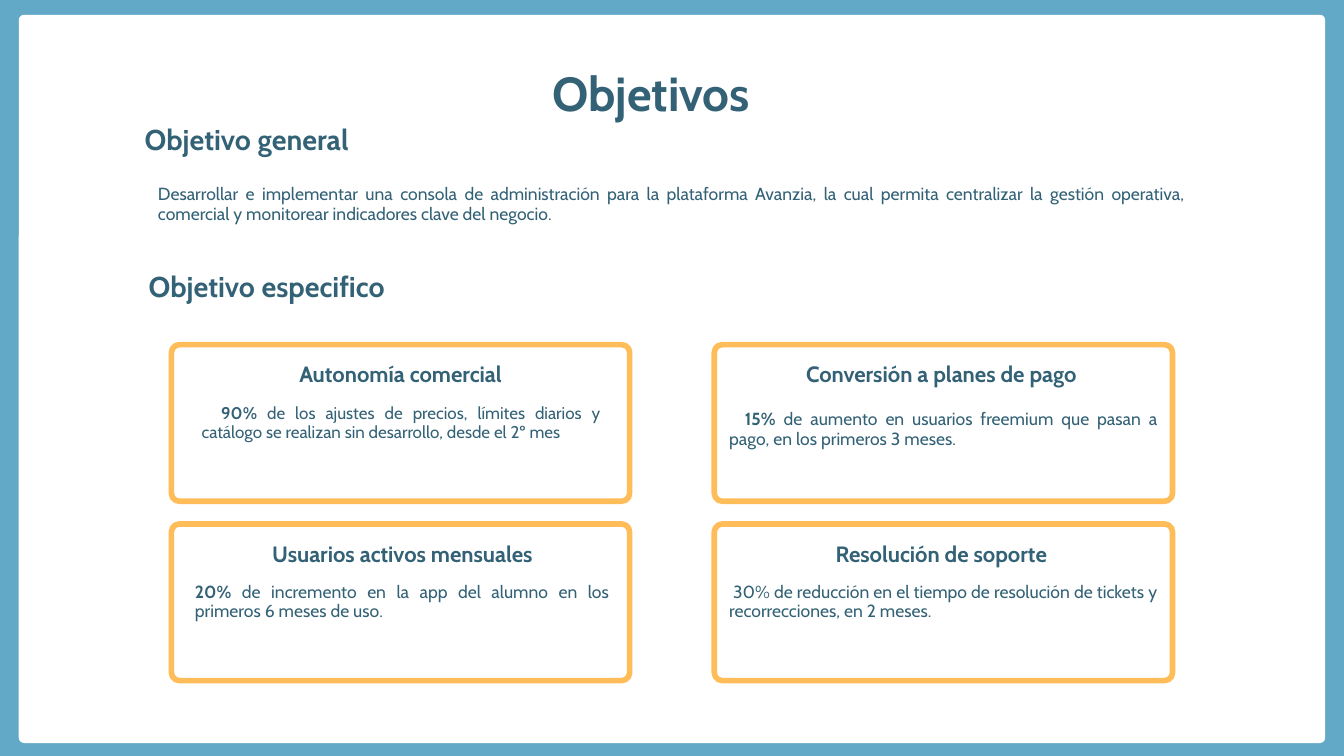
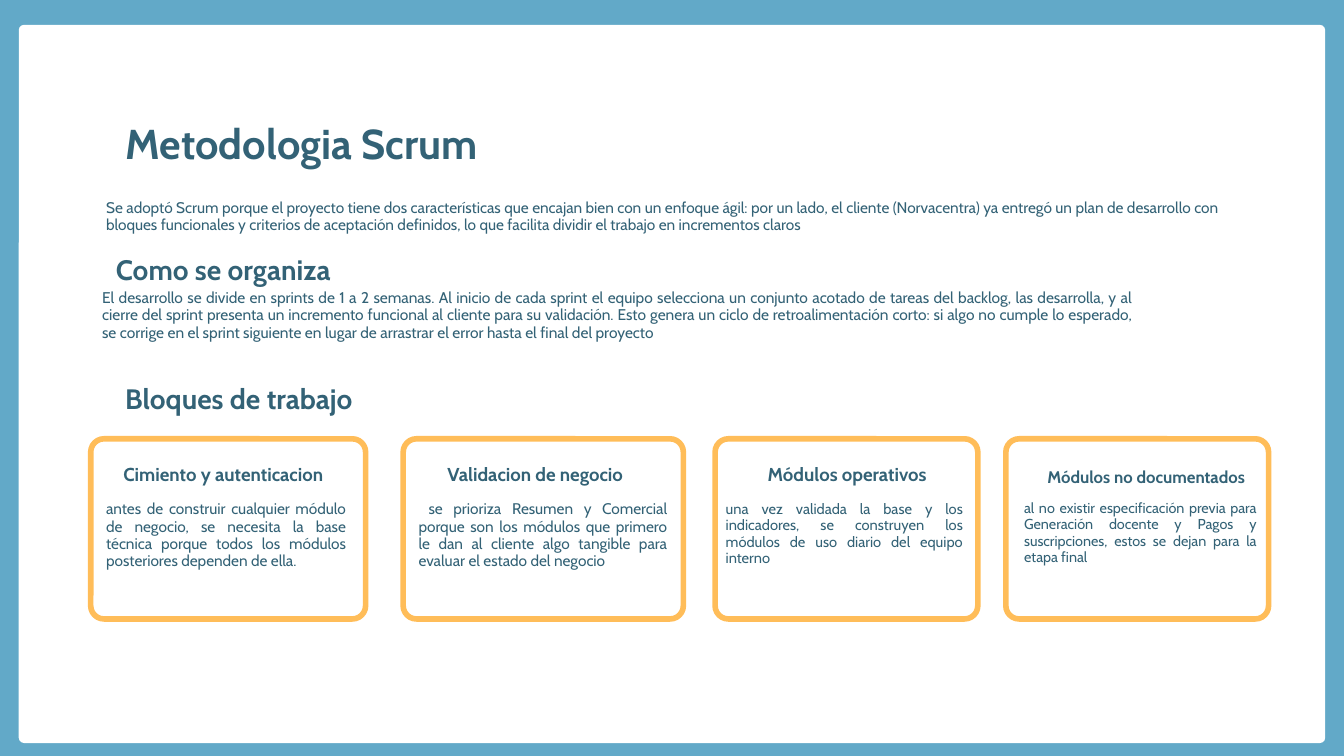
from pptx import Presentation
from pptx.dml.color import RGBColor
from pptx.enum.shapes import MSO_SHAPE
from pptx.enum.text import PP_ALIGN
from pptx.util import Cm, Pt

FRAME_BLUE = "62A9C8"
TEXT_BLUE = "336276"
CARD_YELLOW = "FFBD59"
WHITE = "FFFFFF"
FONT = "Cabin"


def add_panel(slide, left, top, width, height, radius, outline=None):
    shape = slide.shapes.add_shape(
        MSO_SHAPE.ROUNDED_RECTANGLE, Cm(left), Cm(top), Cm(width), Cm(height))
    shape.adjustments[0] = radius / min(width, height)
    shape.shadow.inherit = False
    shape.fill.solid()
    shape.fill.fore_color.rgb = RGBColor.from_string(WHITE)
    if outline:
        shape.line.color.rgb = RGBColor.from_string(outline)
        shape.line.width = Pt(6)
    else:
        shape.line.fill.background()


def add_text(slide, left, top, width, height, text, size, heading=False, lead="", indent=0):
    box = slide.shapes.add_textbox(Cm(left), Cm(top), Cm(width), Cm(height))
    frame = box.text_frame
    frame.word_wrap = True
    frame.margin_left = frame.margin_right = frame.margin_top = frame.margin_bottom = 0
    paragraph = frame.paragraphs[0]
    paragraph.alignment = PP_ALIGN.CENTER if heading else PP_ALIGN.JUSTIFY
    paragraph.line_spacing = Pt(round(size * (0.94 if heading else 1.13), 1))
    if indent:
        paragraph._p.get_or_add_pPr().set("indent", str(Cm(indent)))
    for content, bold in ((lead, True), (text, heading)):
        if content:
            run = paragraph.add_run()
            run.text = content
            run.font.name = FONT
            run.font.size = Pt(size)
            run.font.bold = bold
            run.font.color.rgb = RGBColor.from_string(TEXT_BLUE)


presentation = Presentation()
presentation.slide_width = Cm(50.8)
presentation.slide_height = Cm(28.58)

slides = []
for panel_top, panel_height in ((0.56, 27.53), (0.94, 27.15)):
    slide = presentation.slides.add_slide(presentation.slide_layouts[6])
    slide.background.fill.solid()
    slide.background.fill.fore_color.rgb = RGBColor.from_string(FRAME_BLUE)
    add_panel(slide, 0.71, panel_top, 49.38, panel_height, 0.2)
    slides.append(slide)
objectives, methodology = slides

add_text(objectives, 10.19, 2.87, 28.85, 1.83, "Objetivos", 51.2, heading=True)
add_text(objectives, 4.45, 4.9, 9.75, 1.09, "Objetivo general", 30.7, heading=True)
add_text(objectives, 5.97, 6.96, 38.86, 2.26,
         "Desarrollar e implementar una consola de administración para la plataforma Avanzia, "
         "la cual permita centralizar la gestión operativa, comercial y monitorear indicadores "
         "clave del negocio.", 18.8)
add_text(objectives, 4.8, 10.44, 10.57, 1.09, "Objetivo especifico", 30.7, heading=True)

goals = [
    ("Autonomía comercial", 6.48, "90%",
     " de los ajustes de precios, límites diarios y catálogo se realizan sin desarrollo, "
     "desde el 2º mes", 18.2, (7.62, 15.27, 15.09), 0.74),
    ("Conversión a planes de pago", 26.92, "15%",
     " de aumento en usuarios freemium que pasan a pago, en los primeros 3 meses.",
     18.8, (27.56, 15.47, 16.21), 0.6),
    ("Usuarios activos mensuales", 6.55, "20%",
     " de incremento en la app del alumno en los primeros 6 meses de uso.",
     18.8, (7.37, 22, 15.67), 0),
    ("Resolución de soporte", 26.92, "",
     "30% de reducción en el tiempo de resolución de tickets y recorrecciones, en 2 meses.",
     18.8, (27.56, 22, 16.21), 0.15),
]
for index, (title, title_left, lead, body, size, place, indent) in enumerate(goals):
    row, column = divmod(index, 2)
    card_top = 13.03 + row * 6.78
    add_panel(objectives, 6.48 + column * 20.52, card_top, 17.32, 5.92, 0.3, CARD_YELLOW)
    add_text(objectives, title_left, card_top + 0.83, 17.32, 1.6, title, 23.7, heading=True)
    add_text(objectives, *place, 2.24, body, size, lead=lead, indent=indent)

add_text(methodology, -1.19, 4.88, 25.2, 1.6, "Metodologia Scrum", 44.7, heading=True)
add_text(methodology, 4.01, 7.52, 42.06, 1.3,
         "Se adoptó Scrum porque el proyecto tiene dos características que encajan bien con un "
         "enfoque ágil: por un lado, el cliente (Norvacentra) ya entregó un plan de desarrollo "
         "con bloques funcionales y criterios de aceptación definidos, lo que facilita dividir "
         "el trabajo en incrementos claros", 16.5)
add_text(methodology, 2.84, 9.83, 11.2, 1.04, "Como se organiza", 30.1, heading=True)
add_text(methodology, 3.86, 10.92, 38.91, 2.57,
         "El desarrollo se divide en sprints de 1 a 2 semanas. Al inicio de cada sprint el equipo "
         "selecciona un conjunto acotado de tareas del backlog, las desarrolla, y al cierre del "
         "sprint presenta un incremento funcional al cliente para su validación. Esto genera un "
         "ciclo de retroalimentación corto: si algo no cumple lo esperado, se corrige en el "
         "sprint siguiente en lugar de arrastrar el error hasta el final del proyecto", 16.6)
add_text(methodology, 3.43, 14.71, 11.2, 1.04, "Bloques de trabajo", 30.1, heading=True)

blocks = [
    ("Cimiento y autenticacion", 20, (2.84, 17.68, 11.2), 3.43, 10.39,
     "antes de construir cualquier módulo de negocio, se necesita la base técnica porque todos "
     "los módulos posteriores dependen de ella.", 16.5, 4.01, 9.07, 0),
    ("Validacion de negocio", 20, (14.63, 17.68, 11.2), 15.24, 10.59,
     "se prioriza Resumen y Comercial porque son los módulos que primero le dan al cliente algo "
     "tangible para evaluar el estado del negocio", 16.5, 15.82, 9.4, 0.38),
    ("Módulos operativos", 20, (26.42, 17.68, 11.2), 27.03, 9.93,
     "una vez validada la base y los indicadores, se construyen los módulos de uso diario del "
     "equipo interno", 15.7, 27.43, 8.97, 0),
    ("Módulos no documentados", 18, (38.18, 17.81, 10.29), 38.02, 9.93,
     "al no existir especificación previa para Generación docente y Pagos y suscripciones, "
     "estos se dejan para la etapa final", 15.4, 38.71, 8.79, 0),
]
for (title, title_size, title_place, card_left, card_width,
     body, body_size, body_left, body_width, indent) in blocks:
    add_panel(methodology, card_left, 16.59, card_width, 6.81, 0.5, CARD_YELLOW)
    add_text(methodology, *title_place, 0.71, title, title_size, heading=True)
    add_text(methodology, body_left, 18.92, body_width, 3.2, body, body_size, indent=indent)

presentation.save("out.pptx")
